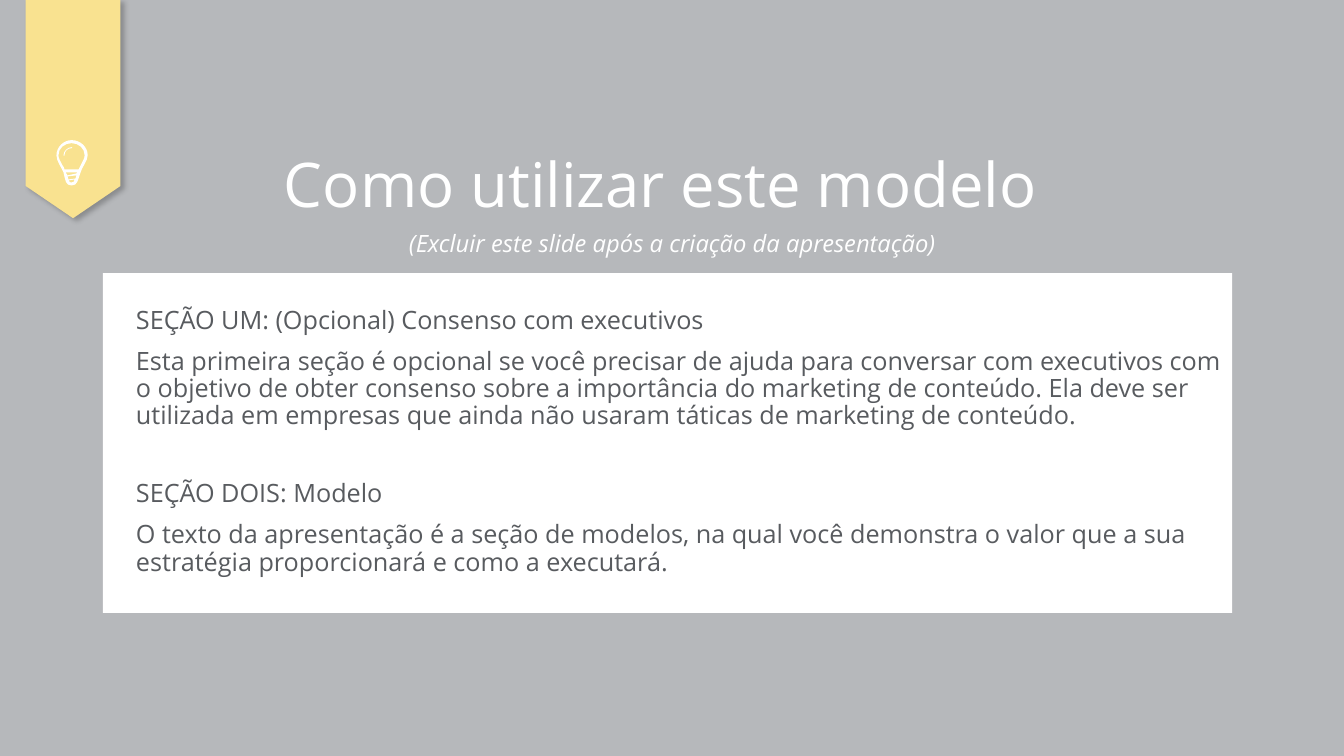
"""Builds the slide explaining how to use the presentation template."""
from lxml import etree
from pptx import Presentation
from pptx.dml.color import RGBColor
from pptx.enum.shapes import MSO_SHAPE
from pptx.enum.text import MSO_ANCHOR, PP_ALIGN
from pptx.oxml import parse_xml
from pptx.oxml.ns import nsdecls, qn
from pptx.util import Inches, Pt

GREY = RGBColor(0xB6, 0xB8, 0xBB)
YELLOW = RGBColor(0xF9, 0xE2, 0x90)
WHITE = RGBColor(0xFF, 0xFF, 0xFF)
INK = RGBColor(0x58, 0x5B, 0x5F)


def paint(shape, color):
    shape.fill.solid()
    shape.fill.fore_color.rgb = color
    shape.line.fill.background()
    shape.shadow.inherit = False


def add_curved(shapes, outlines):
    builder = shapes.build_freeform(*outlines[0][0], scale=Inches(0.01))
    for i, outline in enumerate(outlines):
        if i:
            builder.move_to(*outline[0])
        builder.add_line_segments(outline[1:])
    shape = builder.convert_to_shape()
    lines = list(shape._element.iter(qn("a:lnTo")))
    corners = [(outline, n) for outline in outlines for n in range(1, len(outline))]
    for line, (outline, n) in zip(lines, corners):
        if n % 3 == 1:
            curve = etree.Element(qn("a:cubicBezTo"))
            line.addprevious(curve)
        curve.append(line[0])
        line.getparent().remove(line)
    return shape


prs = Presentation()
prs.slide_width, prs.slide_height = Inches(13.33), Inches(7.5)
s = prs.slides.add_slide(prs.slide_layouts[6])
s.background.fill.solid()
s.background.fill.fore_color.rgb = GREY

panel = s.shapes.add_shape(MSO_SHAPE.RECTANGLE, Inches(1.02), Inches(2.71),
                           Inches(11.2), Inches(3.37))
paint(panel, WHITE)

ribbon = s.shapes.add_shape(MSO_SHAPE.PENTAGON, Inches(-0.36), Inches(0.61),
                            Inches(2.17), Inches(0.94))
ribbon.rotation = 90
ribbon.adjustments[0] = 0.34
paint(ribbon, YELLOW)
effects = ribbon._element.spPr.find(qn("a:effectLst"))
effects.append(parse_xml(
    f'<a:outerShdw {nsdecls("a")} blurRad="{Pt(4)}" dist="{Pt(3)}" dir="2700000" '
    'algn="tl" rotWithShape="0"><a:srgbClr val="000000"><a:alpha val="24000"/>'
    '</a:srgbClr></a:outerShdw>'))

bulb = [
    [(71, 139), (63, 139), (56, 146), (56, 154), (56, 160), (61, 166), (63, 171),
     (65, 179), (65, 184), (71, 184), (77, 184), (77, 179), (80, 171),
     (81, 166), (87, 160), (87, 154), (87, 146), (80, 139), (71, 139)],
    [(75, 177), (68, 178), (68, 178), (68, 178), (68, 177), (67, 176), (67, 175),
     (76, 174), (76, 174), (76, 174), (76, 174), (75, 175), (75, 177)],
    [(67, 174), (66, 173), (66, 172), (65, 171), (77, 171), (77, 171), (77, 171),
     (76, 171), (76, 172), (76, 172), (76, 172), (67, 174), (67, 174)],
    [(71, 181), (70, 181), (69, 181), (68, 179), (74, 178), (74, 178), (74, 178),
     (74, 180), (73, 181), (71, 181)],
    [(78, 168), (64, 168), (64, 168), (64, 168), (64, 167), (63, 165), (62, 164),
     (60, 160), (58, 157), (58, 154), (58, 147), (64, 142), (71, 142),
     (78, 142), (84, 147), (84, 154), (84, 157), (82, 160), (80, 164),
     (79, 165), (79, 167), (78, 168)],
]
glint = [
    [(71, 146), (67, 146), (63, 150), (63, 154), (63, 155), (64, 155), (64, 154),
     (64, 150), (67, 147), (71, 147), (72, 147), (72, 146), (71, 146)],
]
for outlines in (bulb, glint):
    paint(add_curved(s.shapes, outlines), WHITE)

body = [
    ("SEÇÃO UM: (Opcional) Consenso com executivos", 0),
    ("Esta primeira seção é opcional se você precisar de ajuda para conversar com "
     "executivos com o objetivo de obter consenso sobre a importância do marketing de "
     "conteúdo. Ela deve ser utilizada em empresas que ainda não usaram táticas de "
     "marketing de conteúdo.", 10),
    ("SEÇÃO DOIS: Modelo", 36),
    ("O texto da apresentação é a seção de modelos, na qual você demonstra o valor que a "
     "sua estratégia proporcionará e como a executará.", 10),
]
texts = [
    ((2.49, 1.46, 8.13, 0.8), [("Como utilizar este modelo", 0)],
     44, WHITE, False, PP_ALIGN.CENTER, 0.9),
    ((3.56, 2.27, 6.22, 0.34), [("(Excluir este slide após a criação da apresentação)", 0)],
     17, WHITE, True, PP_ALIGN.CENTER, 0.8),
    ((1.25, 2.53, 10.98, 3.71), body, 18, INK, False, PP_ALIGN.LEFT, 0.9),
]
for box, paragraphs, size, color, italic, align, spacing in texts:
    tf = s.shapes.add_textbox(*map(Inches, box)).text_frame
    tf.word_wrap = True
    tf.vertical_anchor = MSO_ANCHOR.MIDDLE
    for i, (text, gap) in enumerate(paragraphs):
        p = tf.add_paragraph() if i else tf.paragraphs[0]
        p.text = text
        p.alignment = align
        p.line_spacing = spacing
        if gap:
            p.space_before = Pt(gap)
        p.font.name = "Open Sans"
        p.font.size = Pt(size)
        p.font.italic = italic
        p.font.color.rgb = color

prs.save("out.pptx")
